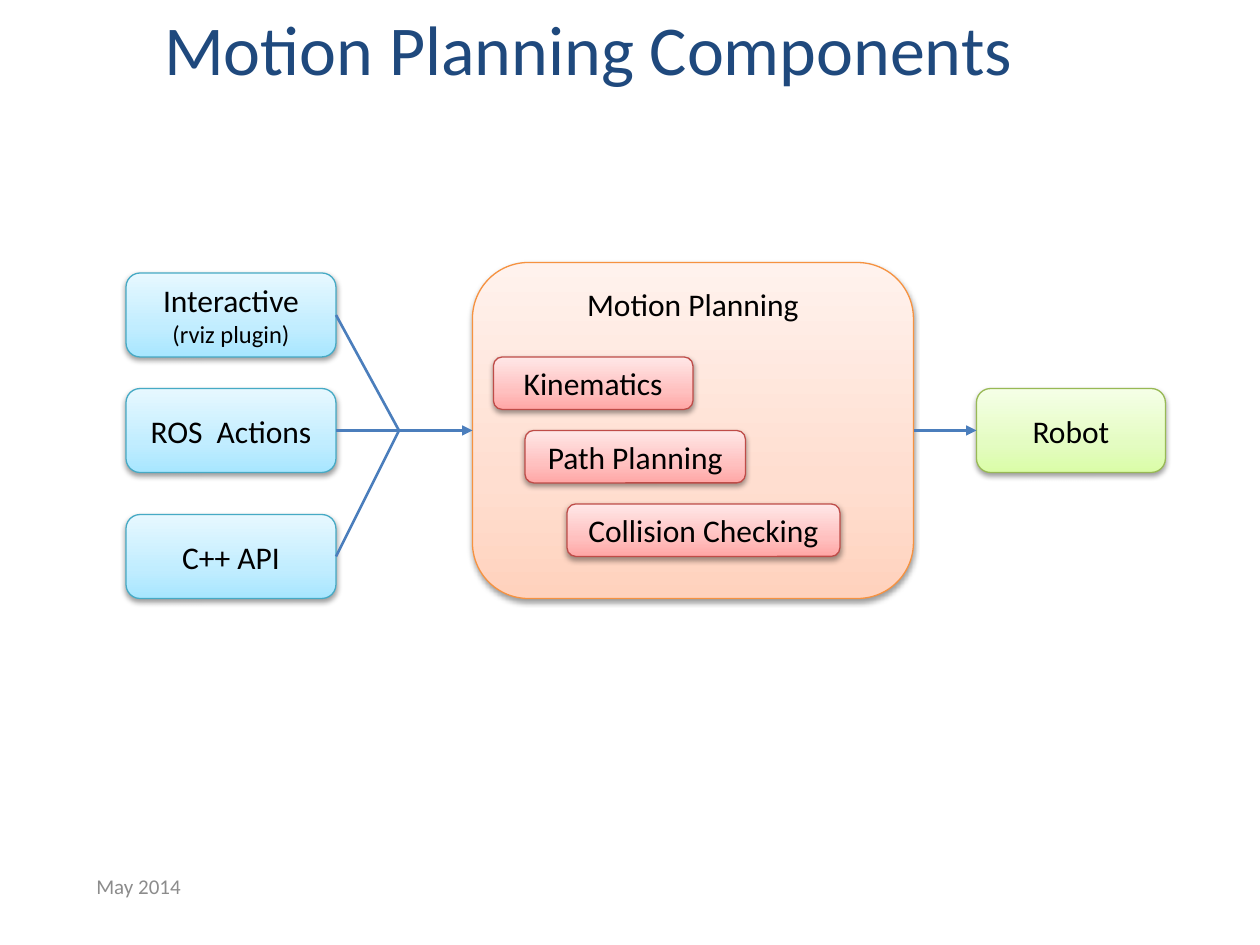
import copy
from dataclasses import dataclass

import pptx
import pptx.dml.color
import pptx.enum.shapes
import pptx.enum.text
import pptx.oxml
import pptx.oxml.ns
import pptx.util

PX = 7620  # EMU per px, 120 px to the inch
ALIGN = pptx.enum.text.PP_ALIGN
ANCHOR = pptx.enum.text.MSO_ANCHOR
qn = pptx.oxml.ns.qn


@dataclass(frozen=True)
class Palette:
    """Gradient runs from the bottom colour up to the top colour."""
    bottom: str
    middle: str
    top: str
    line: str


@dataclass(frozen=True)
class Theme:
    font: str = "Calibri"
    title: str = "1F497D"
    text: str = "000000"
    muted: str = "8C8C8C"
    arrow: str = "4B7EBC"
    title_size: int = 40
    body_size: int = 18
    note_size: int = 14
    date_size: int = 12
    outline: float = 0.75
    arrow_width: float = 1.5
    interface: Palette = Palette("A7E6FF", "C1EDFF", "E7F8FF", "46AAC5")
    planner: Palette = Palette("FFD2BD", "FFDED0", "FFF2ED", "F69240")
    component: Palette = Palette("FFA6A5", "FFC0BF", "FFE7E7", "BF4C48")
    robot: Palette = Palette("DAFDA7", "E4FCC2", "F5FFE7", "98B955")


THEME = Theme()


@dataclass(frozen=True)
class Box:
    text: str
    x: int
    y: int
    w: int
    h: int
    palette: Palette
    note: str = ""
    anchor: ANCHOR = ANCHOR.MIDDLE


@dataclass(frozen=True)
class Link:
    x1: int
    y1: int
    x2: int
    y2: int
    arrow: bool = False


MID_Y = 410
JOIN_X = 380
INTERFACE_RIGHT = 320

BOXES = [
    *(Box(text, 120, y, 200, 80, THEME.interface, note) for text, note, y in [
        ("Interactive", "(rviz plugin)", 260),
        ("ROS  Actions", "", 370),
        ("C++ API", "", 490),
    ]),
    Box("Motion Planning", 450, 250, 420, 320, THEME.planner, anchor=ANCHOR.TOP),
    *(Box(text, x, y, w, 50, THEME.component) for text, x, y, w in [
        ("Collision Checking", 540, 480, 260),
        ("Path Planning", 500, 410, 210),
        ("Kinematics", 470, 340, 190),
    ]),
    Box("Robot", 930, 370, 180, 80, THEME.robot),
]

LINKS = [
    Link(INTERFACE_RIGHT, 300, JOIN_X, MID_Y),
    Link(INTERFACE_RIGHT, 530, JOIN_X, MID_Y),
    Link(INTERFACE_RIGHT, MID_Y, 450, MID_Y, arrow=True),
    Link(870, MID_Y, 930, MID_Y, arrow=True),
]


def rgb(value: str) -> pptx.dml.color.RGBColor:
    return pptx.dml.color.RGBColor.from_string(value)


def px(*values: int) -> list[int]:
    return [v * PX for v in values]


def style_paragraph(p, text: str, size: int, color: str, align: ALIGN) -> None:
    p.text = text
    p.alignment = align
    p.font.name = THEME.font
    p.font.size = pptx.util.Pt(size)
    p.font.color.rgb = rgb(color)


def fill_gradient(sp, palette: Palette) -> None:
    """Extend the two-stop gradient to three stops, rising from the bottom."""
    sp.fill.gradient()
    sp.fill.gradient_angle = 90
    stops = sp._element.spPr.find(qn("a:gradFill")).find(qn("a:gsLst"))
    stops.insert(1, copy.deepcopy(stops[0]))
    colors = (palette.bottom, palette.middle, palette.top)
    for stop, position, color in zip(sp.fill.gradient_stops, (0, 0.35, 1), colors):
        stop.position = position
        stop.color.rgb = rgb(color)


def add_shadow(sp) -> None:
    sp.shadow.inherit = False
    sp._element.spPr.find(qn("a:effectLst")).append(pptx.oxml.parse_xml(
        f'<a:outerShdw {pptx.oxml.ns.nsdecls("a")} blurRad="40000" dist="20000" '
        'dir="5400000" rotWithShape="0"><a:srgbClr val="000000">'
        '<a:alpha val="38000"/></a:srgbClr></a:outerShdw>'))


def add_box(s, box: Box) -> None:
    sp = s.shapes.add_shape(pptx.enum.shapes.MSO_SHAPE.ROUNDED_RECTANGLE,
                            *px(box.x, box.y, box.w, box.h))
    fill_gradient(sp, box.palette)
    sp.line.color.rgb = rgb(box.palette.line)
    sp.line.width = pptx.util.Pt(THEME.outline)
    add_shadow(sp)
    tf = sp.text_frame
    tf.word_wrap = True
    tf.vertical_anchor = box.anchor
    style_paragraph(tf.paragraphs[0], box.text, THEME.body_size, THEME.text, ALIGN.CENTER)
    if box.note:
        style_paragraph(tf.add_paragraph(), box.note, THEME.note_size, THEME.text,
                        ALIGN.CENTER)


def add_link(s, link: Link) -> None:
    cxn = s.shapes.add_connector(pptx.enum.shapes.MSO_CONNECTOR.STRAIGHT,
                                 *px(link.x1, link.y1, link.x2, link.y2))
    cxn.line.color.rgb = rgb(THEME.arrow)
    cxn.line.width = pptx.util.Pt(THEME.arrow_width)
    nsdecls = pptx.oxml.ns.nsdecls("a")
    if link.arrow:
        cxn.line._get_or_add_ln().append(
            pptx.oxml.parse_xml(f'<a:tailEnd {nsdecls} type="triangle"/>'))
    cxn._element.spPr.append(pptx.oxml.parse_xml(f"<a:effectLst {nsdecls}/>"))


def add_label(s, text: str, x: int, y: int, w: int, h: int, size: int, color: str,
              align: ALIGN) -> None:
    tf = s.shapes.add_textbox(*px(x, y, w, h)).text_frame
    tf.word_wrap = True
    tf.vertical_anchor = ANCHOR.MIDDLE
    style_paragraph(tf.paragraphs[0], text, size, color, align)


def main() -> None:
    prs = pptx.Presentation()
    prs.slide_width, prs.slide_height = px(1200, 900)
    s = prs.slides.add_slide(prs.slide_layouts[6])
    add_label(s, "Motion Planning Components", 120, 0, 880, 90,
              THEME.title_size, THEME.title, ALIGN.CENTER)
    for box in BOXES:
        add_box(s, box)
    for link in LINKS:
        add_link(s, link)
    add_label(s, "May 2014", 80, 820, 230, 48, THEME.date_size, THEME.muted, ALIGN.LEFT)
    prs.save("out.pptx")


if __name__ == "__main__":
    main()
